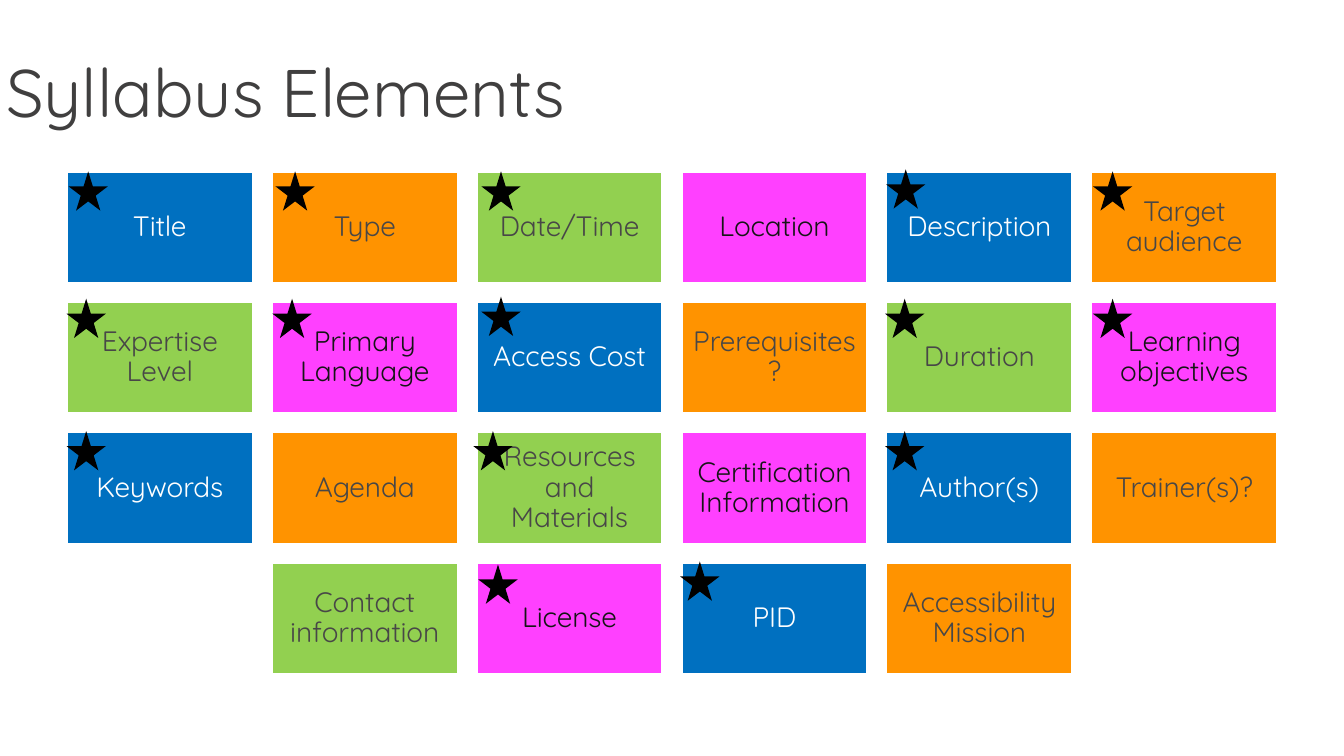
from pptx import Presentation
from pptx.dml.color import RGBColor
from pptx.enum.shapes import MSO_SHAPE
from pptx.enum.text import MSO_ANCHOR, MSO_AUTO_SIZE, PP_ALIGN
from pptx.util import Inches, Pt

RECT, STAR = MSO_SHAPE.RECTANGLE, MSO_SHAPE.STAR_5_POINT
TOP, MIDDLE = MSO_ANCHOR.TOP, MSO_ANCHOR.MIDDLE
LEFT, CENTER = PP_ALIGN.LEFT, PP_ALIGN.CENTER
FIXED = MSO_AUTO_SIZE.NONE

WHITE = RGBColor(0xFF, 0xFF, 0xFF)
BLACK = RGBColor(0x00, 0x00, 0x00)
INK = RGBColor(0x40, 0x3F, 0x3F)
GRAY = RGBColor(0x48, 0x47, 0x47)
DARK = RGBColor(0x15, 0x15, 0x15)
BLUE = RGBColor(0x00, 0x70, 0xC0)
ORANGE = RGBColor(0xFF, 0x93, 0x00)
GREEN = RGBColor(0x92, 0xD0, 0x50)
PINK = RGBColor(0xFF, 0x40, 0xFF)

FACE = "Quicksand"
# Fill and text colour, taken in turn from card to card
THEMES = [(BLUE, WHITE), (ORANGE, GRAY), (GREEN, GRAY), (PINK, DARK)]
CARD_W, CARD_H, STAR_W = 1.85, 1.11, 0.39

# Label and, for a starred card, the star's offset from the card's corner
ROWS = [
    [("Title", (0.02, 0)), ("Type", (0.04, 0)), ("Date/Time", (0.05, 0)),
     ("Location", None), ("Description", (0, -0.02)),
     ("Target audience", (0.02, 0))],
    [("Expertise Level", (0, -0.03)), ("Primary Language", (0.01, -0.03)),
     ("Access Cost", (0.05, -0.05)), ("Prerequisites?", None),
     ("Duration", (-0.01, -0.03)), ("Learning objectives", (0.02, -0.03))],
    [("Keywords", (0, -0.01)), ("Agenda", None),
     ("Resources and Materials", (-0.03, -0.01)),
     ("Certification Information", None), ("Author(s)", (-0.01, -0.01)),
     ("Trainer(s)?", None)],
    [("Contact information", None), ("License", (0.02, 0.02)),
     ("PID", (-0.01, -0.01)), ("Accessibility Mission", None)],
]


def assign(target, values):
    for name, value in values.items():
        setattr(target, name, value)


def set_text(shape, text, inset, anchor, align, size, color):
    frame = shape.text_frame
    pad = Inches(inset)
    assign(frame, {"text": text, "word_wrap": True, "auto_size": FIXED,
                   "vertical_anchor": anchor, "margin_left": pad,
                   "margin_right": pad, "margin_top": pad,
                   "margin_bottom": pad})
    para = frame.paragraphs[0]
    para.alignment = align
    font = para.runs[0].font
    assign(font, {"name": FACE, "size": Pt(size)})
    font.color.rgb = color
    return para


def add_title(slide, text, left, top, width, height):
    title = slide.shapes.title
    assign(title, {"left": Inches(left), "top": Inches(top),
                   "width": Inches(width), "height": Inches(height)})
    set_text(title, text, 0.06, TOP, LEFT, 48, INK)


def add_solid(slide, kind, left, top, width, height, fill):
    shape = slide.shapes.add_shape(kind, Inches(left), Inches(top),
                                   Inches(width), Inches(height))
    shape.shadow.inherit = False
    shape.fill.solid()
    shape.fill.fore_color.rgb = fill
    return shape


def add_card(slide, label, left, top, theme):
    fill, color = theme
    card = add_solid(slide, RECT, left, top, CARD_W, CARD_H, fill)
    card.line.color.rgb = WHITE
    card.line.width = Pt(2)
    para = set_text(card, label, 0.08, MIDDLE, CENTER, 20, color)
    para.line_spacing = 0.9
    para.runs[0].font._element.set("spc", "-10")


def add_star(slide, left, top):
    star = add_solid(slide, STAR, left, top, STAR_W, STAR_W, BLACK)
    star.line.fill.background()


def add_grid(slide, left, top, width, height):
    """Spread the cards over the box, centre short rows, put stars on top."""
    most = max(len(row) for row in ROWS)
    step_x = (width - CARD_W) / (most - 1)
    step_y = (height - CARD_H) / (len(ROWS) - 1)
    count, stars = 0, []
    for i, row in enumerate(ROWS):
        start = left + (most - len(row)) / 2 * step_x
        y = top + i * step_y
        for j, (label, shift) in enumerate(row):
            x = start + j * step_x
            add_card(slide, label, x, y, THEMES[count % len(THEMES)])
            count += 1
            if shift:
                stars.append((x + shift[0], y + shift[1]))
    for x, y in stars:
        add_star(slide, x, y)


def main():
    deck = Presentation()
    assign(deck, {"slide_width": Inches(13.33), "slide_height": Inches(7.5)})
    slide = deck.slides.add_slide(deck.slide_layouts[5])
    add_title(slide, "Syllabus Elements", 0, 0.44, 12.01, 0.93)
    add_grid(slide, 0.66, 1.7, 12.01, 4.99)
    deck.save("out.pptx")


if __name__ == "__main__":
    main()
